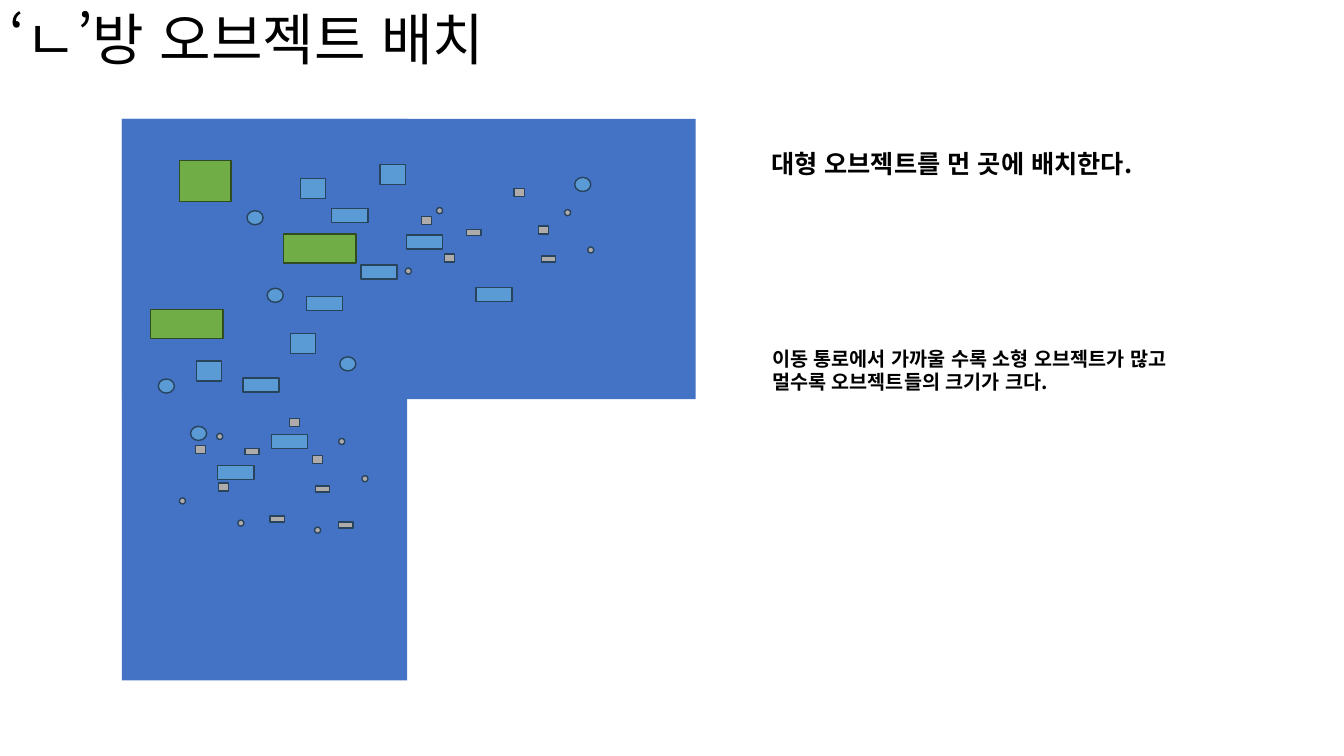
import lxml.etree
import pptx
import pptx.dml.color
import pptx.enum.lang
import pptx.enum.shapes
import pptx.enum.text
import pptx.oxml.ns
import pptx.util

# Content: lengths in px, 100 px to the inch
PX = 9144
FONT = "Noto Sans CJK KR"
COLORS = {
    "floor": "4472C4",
    "small": "AFABAB",
    "medium": "5B9BD5",
    "large": "70AD47",
    "edge": "28445D",
    "large edge": "314C1F",
    "text": "000000",
}

# (left, top, width, height, size in points, bold, lines)
TEXTS = [
    (0, 0, 535, 77, 40, False, ["‘ㄴ’방 오브젝트 배치"]),
    (756, 339, 454, 57, 14, True,
     ["이동 통로에서 가까울 수록 소형 오브젝트가 많고", "멀수록 오브젝트들의 크기가 크다."]),
    (755, 142, 416, 40, 18, True, ["대형 오브젝트를 먼 곳에 배치한다."]),
]

# Two wings of the L-shaped room: (left, top, width, height)
ROOM = [(121, 118, 283, 557), (121, 118, 569, 278)]

# (shape, colour, edge, width, height, [(left, top), ...])
OBJECTS = [
    ("OVAL", "small", "edge", 6, 6, [
        (433, 206), (402, 266), (583, 245), (560, 208), (215, 430), (178, 494),
        (359, 472), (312, 523), (236, 516), (336, 435)]),
    ("RECTANGLE", "small", "edge", 10, 8, [
        (534, 224), (441, 252), (510, 187), (418, 215), (310, 452), (217, 479),
        (287, 415), (194, 442)]),
    ("RECTANGLE", "small", "edge", 14, 6, [
        (463, 228), (537, 254), (336, 518), (243, 445), (268, 512), (313, 482)]),
    ("RECTANGLE", "medium", "edge", 36, 14, [
        (329, 207), (304, 294), (358, 263), (403, 233), (241, 375), (216, 462),
        (269, 431), (472, 285)]),
    ("OVAL", "medium", "edge", 16, 14, [
        (245, 209), (265, 286), (570, 176), (157, 376), (189, 423), (337, 354)]),
    ("RECTANGLE", "medium", "edge", 25, 20, [
        (377, 163), (298, 177), (288, 331), (195, 358)]),
    ("RECTANGLE", "large", "large edge", 72, 29, [(281, 232), (149, 307)]),
    ("RECTANGLE", "large", "large edge", 51, 41, [(178, 159)]),
]


def rgb(name):
    return pptx.dml.color.RGBColor.from_string(COLORS[name])


def add_block(s, kind, box, fill, edge=None):
    shape_type = pptx.enum.shapes.MSO_SHAPE[kind]
    sp = s.shapes.add_shape(shape_type, *(v * PX for v in box))
    sp.shadow.inherit = False
    sp.fill.solid()
    sp.fill.fore_color.rgb = rgb(fill)
    if edge:
        sp.line.color.rgb = rgb(edge)
        sp.line.width = pptx.util.Pt(1)
    else:
        sp.line.fill.background()
    return sp


def add_text(s, box, size, bold, lines):
    tf = s.shapes.add_textbox(*(v * PX for v in box)).text_frame
    tf.word_wrap = False
    tf.auto_size = pptx.enum.text.MSO_AUTO_SIZE.SHAPE_TO_FIT_TEXT
    tf.text = "\n".join(lines)
    for p in tf.paragraphs:
        p.font.size = pptx.util.Pt(size)
        p.font.bold = bold
        p.font.color.rgb = rgb("text")
        p.font.name = FONT
        p.font.language_id = pptx.enum.lang.MSO_LANGUAGE_ID.KOREAN
        # Hangul takes the East Asian font
        props = p._p.pPr.find(pptx.oxml.ns.qn("a:defRPr"))
        lxml.etree.SubElement(props, pptx.oxml.ns.qn("a:ea"), typeface=FONT)


prs = pptx.Presentation()
prs.slide_width = pptx.util.Inches(13.33)
prs.slide_height = pptx.util.Inches(7.5)
s = prs.slides.add_slide(prs.slide_layouts[6])

# Title and notes on placement
for *box, size, bold, lines in TEXTS:
    add_text(s, box, size, bold, lines)

# Room floor
room = s.shapes.add_group_shape()
for wing in ROOM:
    add_block(room, "RECTANGLE", wing, "floor")

# Objects, small to large
for kind, fill, edge, width, height, places in OBJECTS:
    for left, top in places:
        add_block(s, kind, (left, top, width, height), fill, edge)

prs.save("out.pptx")
